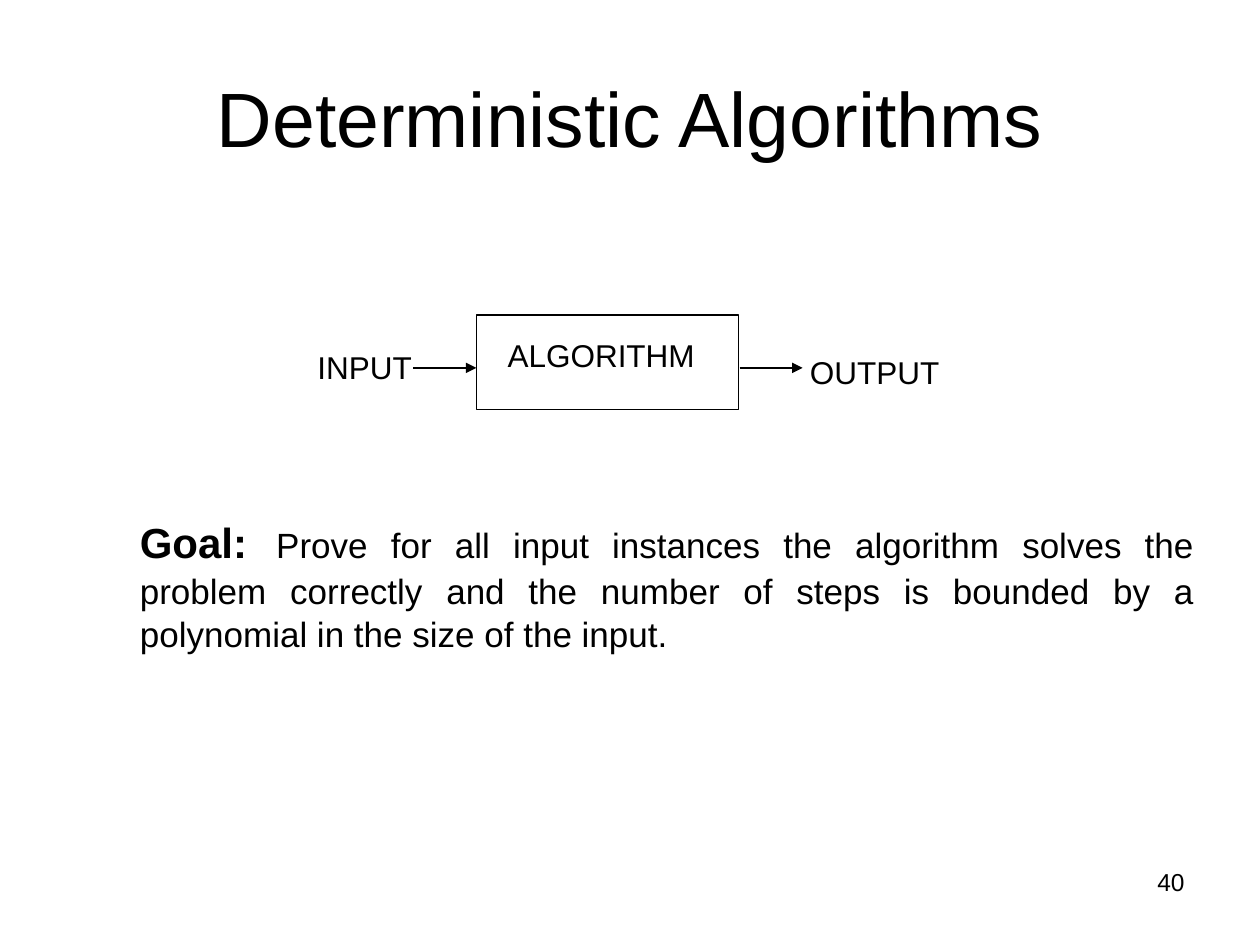
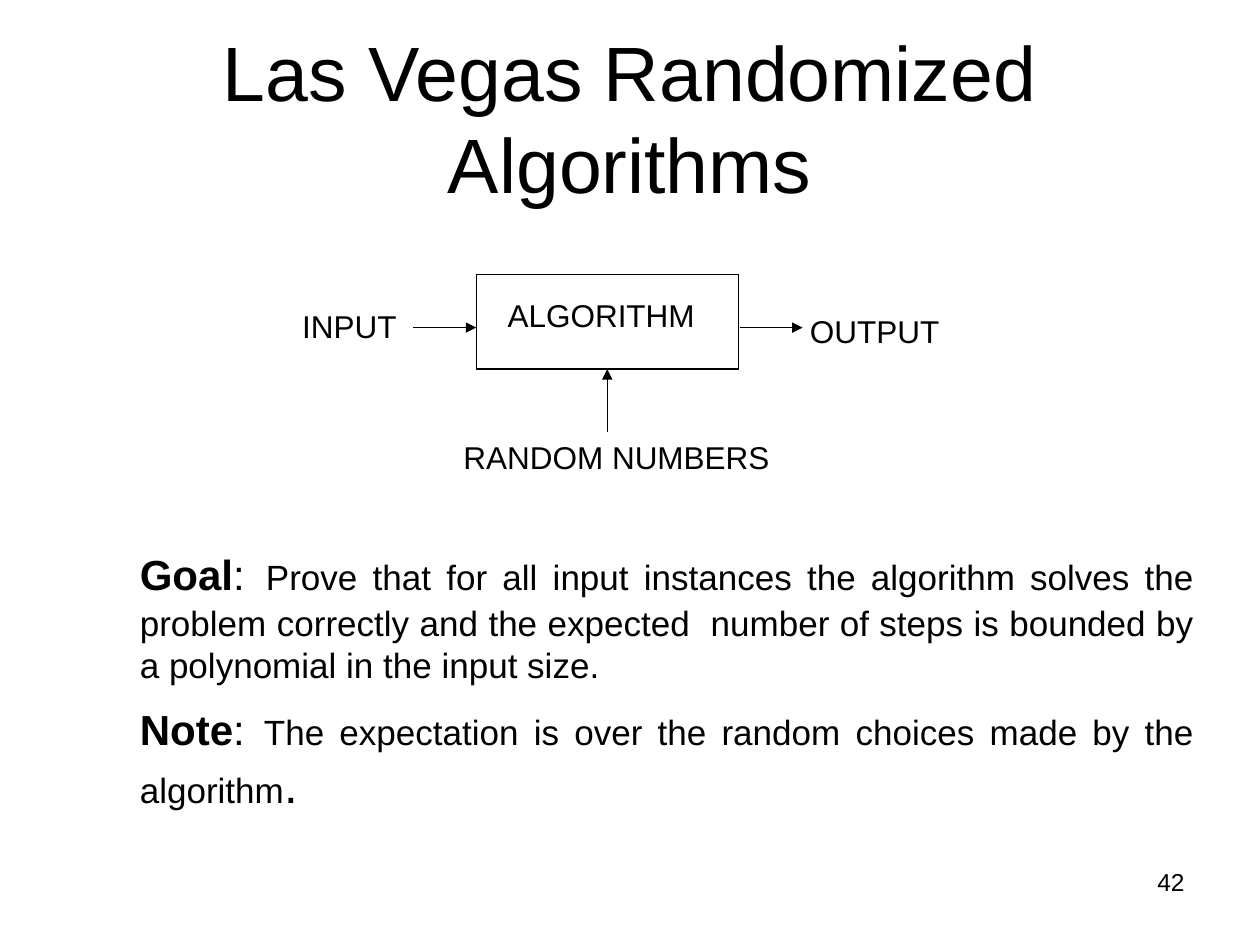
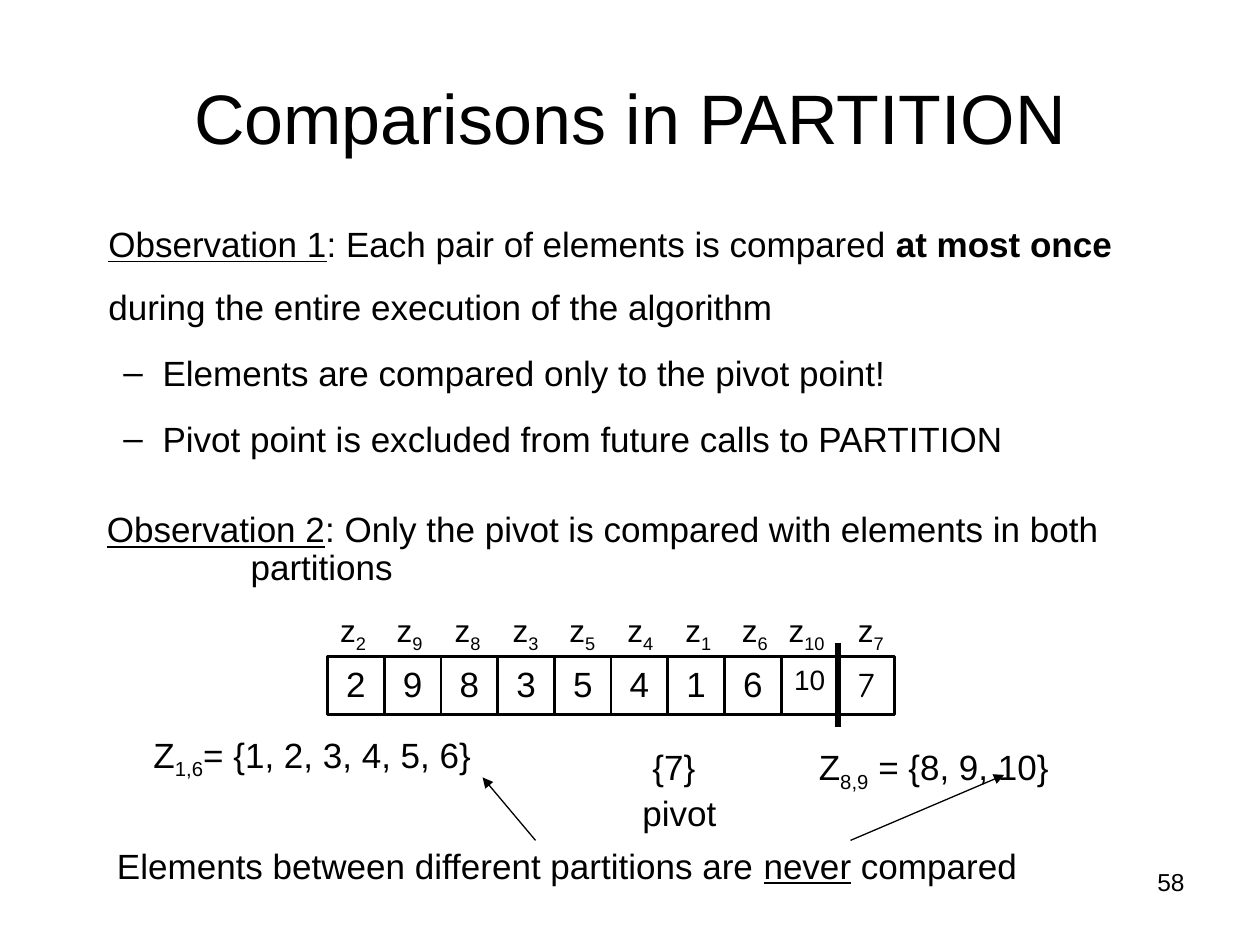
from dataclasses import dataclass, field

from lxml.etree import SubElement
from pptx import Presentation
from pptx.dml.color import RGBColor
from pptx.enum.shapes import MSO_CONNECTOR, MSO_SHAPE
from pptx.enum.text import MSO_ANCHOR, MSO_AUTO_SIZE, PP_ALIGN
from pptx.oxml.ns import qn
from pptx.util import Pt

PX = 9144  # EMU; 100 px to the inch
TITLE_AND_CONTENT = 1
TOP, LEFT, BOTTOM, RIGHT = range(4)


@dataclass(frozen=True)
class Theme:
    ink: RGBColor = RGBColor(0, 0, 0)
    font: str = "Arial"
    cell_font: str = "Comic Neue"
    title: int = 44
    small_title: int = 40
    gap: int = 32
    note_gap: int = 28
    lead: int = 24
    body: int = 20
    label: int = 18
    small_cell: int = 16
    page: int = 14
    thin: float = 0.75
    cell_line: float = 1.5
    divider: float = 3


THEME = Theme()


@dataclass
class Para:
    """Runs are strings or (string, format) pairs; lengths are px, spacing is points."""
    runs: list
    align: PP_ALIGN = PP_ALIGN.LEFT
    margin: int = 0
    indent: int = 0
    level: int = 0
    bullet: str = ""
    before: float = 0
    spacing: float = 1.0
    format: dict = field(default_factory=dict)


def format_run(run, size=THEME.body, font=THEME.font, bold=False, underline=False, sub=False):
    run.font.size = Pt(size)
    run.font.name = font
    run.font.bold = bold
    run.font.underline = underline
    run.font.color.rgb = THEME.ink
    if sub:
        run.font._element.set("baseline", "-25000")


def write(frame, content, align=PP_ALIGN.LEFT, **style):
    """Fill a text frame with a string, or with a list of Para."""
    paras = [Para([content], align)] if isinstance(content, str) else content
    for number, para in enumerate(paras):
        line = frame.add_paragraph() if number else frame.paragraphs[0]
        line.level = para.level
        line.alignment = para.align
        line.space_before = Pt(para.before)
        line.line_spacing = para.spacing
        props = line._p.get_or_add_pPr()
        props.set("marL", str(para.margin * PX))
        props.set("indent", str(para.indent * PX))
        if para.bullet:
            SubElement(props, qn("a:buChar"), char=para.bullet)
        else:
            SubElement(props, qn("a:buNone"))
        for item in para.runs:
            words, extra = (item, {}) if isinstance(item, str) else item
            run = line.add_run()
            run.text = words
            format_run(run, **{**style, **para.format, **extra})


class Deck:
    """Holds the presentation, its style and the slide being built."""

    def __init__(self):
        self.file = Presentation()
        self.file.slide_width, self.file.slide_height = 1000 * PX, 750 * PX
        self.slide = None

    def start(self, title, page, size=THEME.title):
        layout = self.file.slide_layouts[TITLE_AND_CONTENT]
        self.slide = self.file.slides.add_slide(layout)
        heading = self.place(self.slide.shapes.title, 50, 30, 900, 125)
        heading.vertical_anchor = MSO_ANCHOR.MIDDLE
        write(heading, title, align=PP_ALIGN.CENTER, size=size)
        self.text(page, 717, 683, 233, 52, align=PP_ALIGN.RIGHT, size=THEME.page)

    def place(self, holder, left, top, width, height):
        holder.left, holder.top = left * PX, top * PX
        holder.width, holder.height = width * PX, height * PX
        holder.text_frame.auto_size = MSO_AUTO_SIZE.NONE
        holder.text_frame.word_wrap = True
        return holder.text_frame

    def body(self, paras, left, top, width, height, inset):
        frame = self.place(self.slide.placeholders[1], left, top, width, height)
        frame.margin_top = inset * PX
        write(frame, paras)

    def text(self, content, left, top, width, height, wrap=True, **style):
        box = self.slide.shapes.add_textbox(left * PX, top * PX, width * PX, height * PX)
        box.text_frame.word_wrap = wrap
        write(box.text_frame, content, **style)

    def label(self, content, left, top, width, height=40, size=THEME.label):
        self.text(content, left, top, width, height, wrap=False, size=size)

    def rect(self, left, top, width, height, weight=THEME.thin, content="", **style):
        shape = self.slide.shapes.add_shape(
            MSO_SHAPE.RECTANGLE, left * PX, top * PX, width * PX, height * PX)
        shape.shadow.inherit = False
        shape.fill.background()
        shape.line.color.rgb = THEME.ink
        shape.line.width = Pt(weight)
        if content:
            frame = shape.text_frame
            frame.vertical_anchor = MSO_ANCHOR.TOP
            frame.margin_left = frame.margin_right = 0
            write(frame, content, align=PP_ALIGN.CENTER, **style)
        return shape

    def line(self, start, end, weight=THEME.thin, arrow=True, target=None, side=TOP):
        link = self.slide.shapes.add_connector(
            MSO_CONNECTOR.STRAIGHT, *(value * PX for value in start + end))
        link.line.color.rgb = THEME.ink
        link.line.width = Pt(weight)
        if arrow:
            SubElement(link.line._get_or_add_ln(), qn("a:tailEnd"), type="triangle")
        SubElement(link._element.spPr, qn("a:effectLst"))
        if target is not None:
            link.end_connect(target, side)


def draw_flow(deck, top, input_left):
    """Draw input, algorithm and output in a row; return the algorithm's box."""
    algorithm = deck.rect(378, top, 208, 75)
    deck.label("ALGORITHM", 393, top + 12, 169)
    for tail in (328, 587):
        deck.line((tail, top + 42), (tail + 50, top + 42))
    deck.label("INPUT", input_left, top + 21, 95)
    deck.label("OUTPUT", 633, top + 25, 123)
    return algorithm


def statement(*runs, before=0):
    return Para(list(runs), PP_ALIGN.JUSTIFY, margin=38, before=before)


LEAD = {"size": THEME.lead}
BOLD_LEAD = {"size": THEME.lead, "bold": True}
GAP = (" ", {"size": THEME.gap})
NOTE_GAP = {"size": THEME.note_gap}
UNDERLINE = {"underline": True}
SUB = {"sub": True}


def deterministic(deck):
    deck.start("Deterministic Algorithms", "40")
    deck.body([statement(
        ("Goal:", BOLD_LEAD), GAP,
        "Prove for all input instances the algorithm solves the problem correctly "
        "and the number of steps is bounded by a polynomial in the size of the input.",
    )], 63, 392, 895, 242, inset=7)
    draw_flow(deck, 250, input_left=242)


def las_vegas(deck):
    deck.start("Las Vegas Randomized Algorithms", "42")
    deck.body([
        statement(
            ("Goal", BOLD_LEAD), (":", LEAD), GAP,
            "Prove that for all input instances the algorithm solves the problem correctly "
            "and the expected  number of steps is bounded by a polynomial in the input size."),
        statement(
            ("Note", BOLD_LEAD), (":", LEAD), (" ", NOTE_GAP),
            "The expectation is over the random choices made by the algorithm",
            (".", NOTE_GAP), before=6),
    ], 63, 417, 895, 275, inset=7)
    algorithm = draw_flow(deck, 218, input_left=230)
    deck.line((482, 343), (482, 293), target=algorithm, side=BOTTOM)
    deck.label("RANDOM NUMBERS", 358, 343, 263)


def draw_array(deck):
    """Draw the ranked values in a row, with the pivot last."""
    values = [2, 9, 8, 3, 5, 4, 1, 6, 10, 7]
    for place, value in enumerate(values):
        width = 51 if value > 9 else 42
        right = 302 + place * 137 // 3
        deck.label([Para(["z", (str(value), SUB)])], right - width, 480, width)
        deck.rect(260 + 45 * place, 521, 45, 46, THEME.cell_line, str(value),
                  size=THEME.small_cell if value > 9 else THEME.body,
                  font=THEME.cell_font if value == values[-1] else THEME.font)
    deck.line((665, 510), (665, 577), THEME.divider, arrow=False)


def partition(deck):
    deck.start("Comparisons in PARTITION", "58", THEME.small_title)
    consequences = ["Elements are compared only to the pivot point!",
                    "Pivot point is excluded from future calls to PARTITION"]
    deck.body([
        Para([("Observation 1", UNDERLINE), ": Each pair of elements is compared ",
              ("at most once", {"bold": True}),
              " during the entire execution of the algorithm"], margin=38, spacing=1.5),
        *(Para([words], margin=81, indent=-31, level=1, bullet="–", before=4, spacing=1.4)
          for words in consequences),
    ], 38, 133, 931, 573, inset=27)
    deck.text([Para([("Observation 2", UNDERLINE),
                     ": Only the pivot is compared with elements in both partitions"],
                    margin=114, indent=-114, spacing=0.9)], 75, 402, 908, 65)
    draw_array(deck)
    deck.text([Para(["Z", ("1,6", SUB), "= {1, 2, 3, 4, 5, 6}"])], 112, 577, 426, 43)
    deck.label([Para(["Z", ("8,9", SUB), " = {8, 9, 10}"])], 640, 587, 205, 43, THEME.body)
    deck.label("{7}", 508, 587, 54, 43, THEME.body)
    deck.label("pivot", 500, 623, 79, 43, THEME.body)
    deck.text([Para(["Elements between different partitions are ",
                     ("never", UNDERLINE), " compared"])], 83, 665, 755, 43)
    deck.line((425, 667), (383, 617))
    deck.line((675, 667), (797, 615))


def main():
    deck = Deck()
    for build in (deterministic, las_vegas, partition):
        build(deck)
    deck.file.save("out.pptx")


if __name__ == "__main__":
    main()
